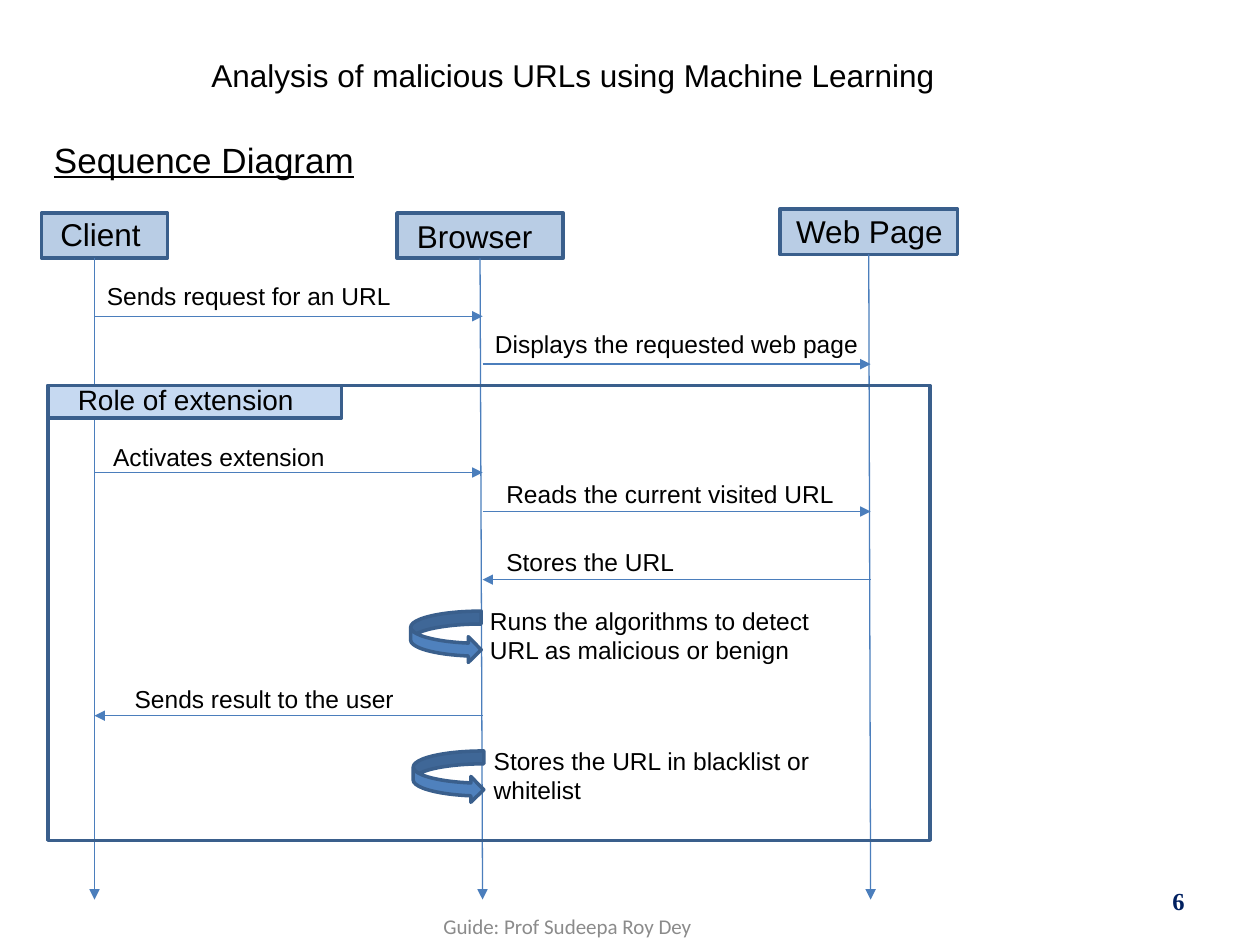
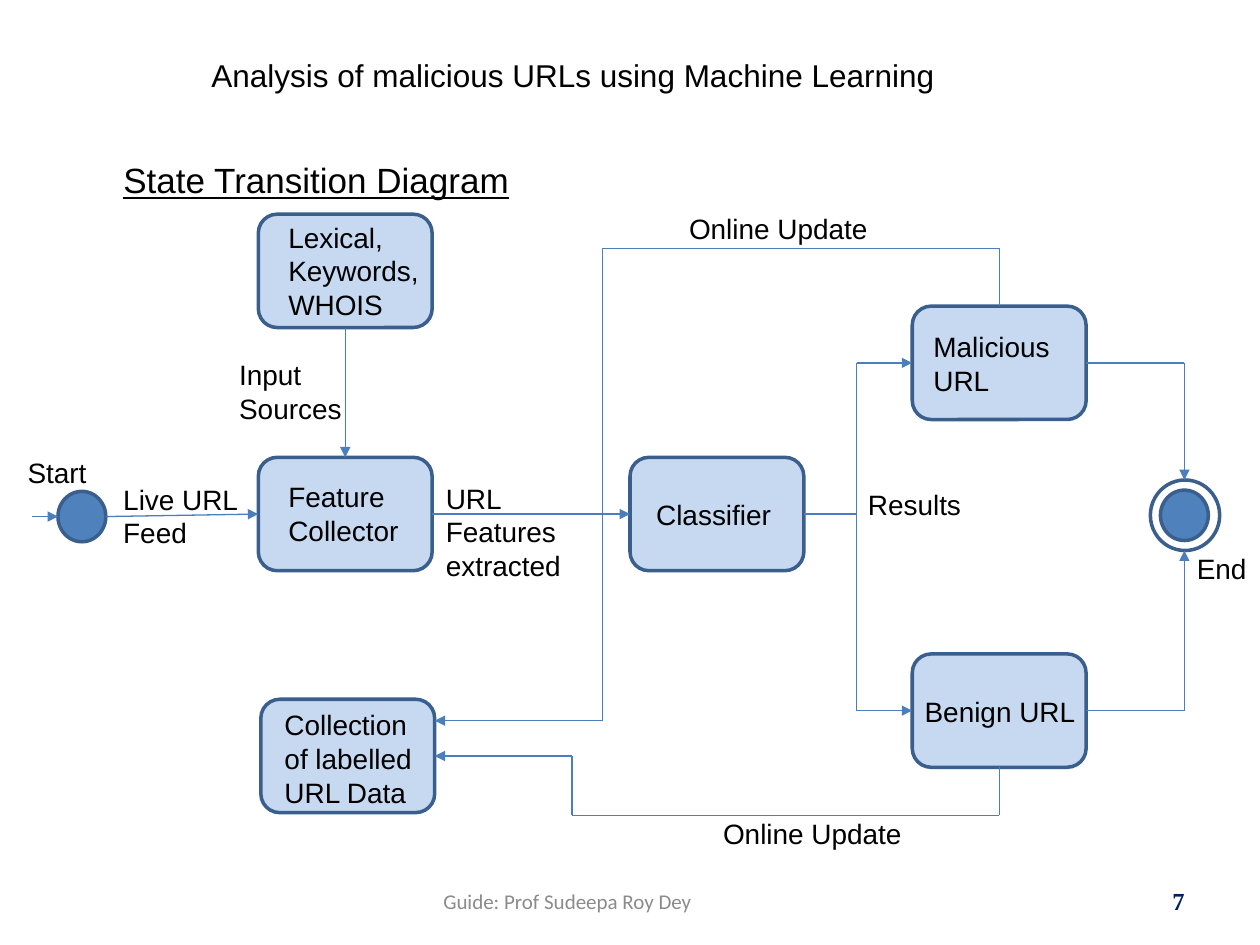
from itertools import pairwise

from lxml import etree
from pptx import Presentation
from pptx.dml.color import RGBColor
from pptx.enum.shapes import MSO_CONNECTOR, MSO_SHAPE
from pptx.enum.text import MSO_ANCHOR, PP_ALIGN
from pptx.oxml.ns import qn
from pptx.util import Inches, Pt

# Shared colours and text formats
HEADER, PANEL, ACCENT = "B9CDE5", "C6D9F1", "4F81BD"
OUTLINE, ARROW = "3A5F8C", "4B7EBC"
BODY = dict(name="Arial", size=16, color="000000")
TITLE = BODY | dict(size=18)
HEADING = BODY | dict(size=20, underline=True)
MESSAGE = BODY | dict(size=14)
NUMBER = dict(name="Times New Roman", size=14, color="002060", bold=True)
FOOTER = dict(name="Calibri", size=12, color="8B8B8B")


def rgb(value):
    return RGBColor.from_string(value)


def add_text(s, text, x, y, w, h, fmt=BODY, align=PP_ALIGN.LEFT,
             anchor=MSO_ANCHOR.TOP, spacing=None):
    tf = s.shapes.add_textbox(*map(Inches, (x, y, w, h))).text_frame
    tf.word_wrap = True
    tf.vertical_anchor = anchor
    tf.text = text
    for p in tf.paragraphs:
        p.alignment = align
        p.line_spacing = spacing
        for r in p.runs:
            for key, value in fmt.items():
                if key == "color":
                    r.font.color.rgb = rgb(value)
                else:
                    setattr(r.font, key, Pt(value) if key == "size" else value)


def add_box(s, kind, x, y, w, h, fill=None):
    sp = s.shapes.add_shape(kind, *map(Inches, (x, y, w, h)))
    sp.shadow.inherit = False
    if fill:
        sp.fill.solid()
        sp.fill.fore_color.rgb = rgb(fill)
    else:
        sp.fill.background()
    sp.line.color.rgb = rgb(OUTLINE)
    sp.line.width = Pt(2)
    return sp


def add_line(s, start, end, arrow=True, begin_at=None, end_at=None):
    """begin_at and end_at are (shape, side) pairs to join."""
    line = s.shapes.add_connector(MSO_CONNECTOR.STRAIGHT,
                                  *map(Inches, (*start, *end)))
    if begin_at:
        line.begin_connect(*begin_at)
    if end_at:
        line.end_connect(*end_at)
    line.line.color.rgb = rgb(ARROW)
    line.line.width = Pt(0.75)
    if arrow:
        etree.SubElement(line.line._get_or_add_ln(), qn("a:tailEnd"),
                         type="triangle")
    etree.SubElement(line._element.spPr, qn("a:effectLst"))


def add_route(s, points, begin_at=None, end_at=None, arrow=True):
    """Draw a bent line, with an arrowhead on its last leg only."""
    last = len(points) - 2
    for i, (start, end) in enumerate(pairwise(points)):
        add_line(s, start, end, arrow and i == last,
                 begin_at if i == 0 else None, end_at if i == last else None)


def add_frame(prs, heading, heading_box, number, footer_top):
    """Slide with title, heading, footer and number."""
    s = prs.slides.add_slide(prs.slide_layouts[6])
    add_text(s, number, 7.17, 6.95, 2.33, 0.4, NUMBER,
             align=PP_ALIGN.RIGHT, anchor=MSO_ANCHOR.MIDDLE)
    add_text(s, heading, *heading_box, HEADING, spacing=0.93)
    add_text(s, "Guide: Prof Sudeepa Roy Dey", 3.42, footer_top, 3.16, 0.4,
             FOOTER, anchor=MSO_ANCHOR.MIDDLE)
    add_text(s, "Analysis of malicious URLs using Machine Learning",
             1.58, 0.42, 6.25, 0.4, TITLE, spacing=0.93)
    return s


# Sequence diagram
CLIENT, BROWSER, PAGE = 0.75, 3.83, 6.91


def add_participants(s, x, y):
    # name, lifeline, header left, top, width, label left, top, joined
    participants = [
        ("Client", CLIENT, 0.33, 0.09, 1, 0.38, 0.06, False),
        ("Browser", BROWSER, 3.15, 0.09, 1.32, 3.21, 0.07, True),
        ("Web Page", PAGE, 6.19, 0.06, 1.41, 6.22, 0.03, True),
    ]
    for name, life, left, top, w, text_x, text_y, joined in participants:
        head = add_box(s, MSO_SHAPE.RECTANGLE, x + left, y + top, w, 0.36,
                       HEADER)
        add_text(s, name, x + text_x, y + text_y, 1.41, 0.42, TITLE)
        add_line(s, (x + life, y + top + 0.36), (x + life, y + 5.54),
                 begin_at=(head, 2) if joined else None)


def add_fragment(s, x, y, w, h):
    add_box(s, MSO_SHAPE.RECTANGLE, x, y, w, h)
    add_box(s, MSO_SHAPE.RECTANGLE, x, y, 2.33, 0.26, PANEL)
    add_text(s, "Role of extension", x + 0.14, y - 0.07, 2.57, 0.37)


def add_messages(s, x, y):
    # text, from, to, arrow y, label left, top, width
    messages = [
        ("Sends request for an URL", CLIENT, BROWSER, 0.91, 0.75, 0.58, 2.89),
        ("Displays the requested web page", BROWSER, PAGE, 1.29, 3.83, 0.96,
         3.16),
        ("Activates extension", CLIENT, BROWSER, 2.15, 0.8, 1.86, 2.7),
        ("Reads the current visited URL", BROWSER, PAGE, 2.46, 3.92, 2.15,
         2.83),
        ("Stores the URL", PAGE, BROWSER, 3, 3.92, 2.69, 2.83),
        ("Sends result to the user", BROWSER, CLIENT, 4.08, 0.97, 3.78, 2.41),
    ]
    for text, start, end, level, left, top, w in messages:
        add_line(s, (x + start, y + level), (x + end, y + level))
        add_text(s, text, x + left, y + top, w, 0.34, MESSAGE)

    # Steps the browser performs on itself
    own_steps = [
        ("Runs the algorithms to detect URL as malicious or benign",
         3.26, 3.25, 3.79, 2.96),
        ("Stores the URL in blacklist or whitelist", 3.28, 4.36, 3.82, 2.87),
    ]
    for text, left, top, text_x, w in own_steps:
        add_box(s, MSO_SHAPE.CURVED_RIGHT_ARROW, x + left, y + top, 0.56,
                0.41, ACCENT)
        add_text(s, text, x + text_x, y + top - 0.09, w, 0.57, MESSAGE)


def sequence_slide(prs):
    s = add_frame(prs, "Sequence Diagram", (0.33, 1.08, 9.01, 5.78), "6", 7.15)
    add_participants(s, 0, 1.6)
    add_fragment(s, 0.38, 3.06, 7, 3.61)
    add_messages(s, 0, 1.6)


# State transition diagram
def add_states(s, x, y):
    # key: left, top, label, label offset x, y, label width
    states = {
        "sources": (2.05, 0.7, "Lexical, Keywords, WHOIS", 0.14, 0, 1.36),
        "collector": (2.05, 2.63, "Feature Collector", 0.14, 0.13, 1.38),
        "classifier": (5, 2.63, "Classifier", 0.11, 0.27, 1.36),
        "malicious": (7.24, 1.43, "Malicious URL", 0.07, 0.14, 1.43),
        "benign": (7.24, 4.19, "Benign URL", 0, 0.27, 1.65),
        "data": (2.07, 4.55, "Collection of labelled URL Data", 0.09, 0.02,
                 1.36),
    }
    boxes = {}
    for key, (left, top, text, dx, dy, w) in states.items():
        boxes[key] = add_box(s, MSO_SHAPE.ROUNDED_RECTANGLE, x + left,
                             y + top, 1.38, 0.9, PANEL)
        add_text(s, text, x + left + dx, y + top + dy, w, 0.9)

    # Start and end markers
    for left, top, w, h, fill in [(0.46, 2.9, 0.38, 0.4, ACCENT),
                                  (9.21, 2.89, 0.38, 0.4, ACCENT),
                                  (9.13, 2.81, 0.55, 0.56, None)]:
        add_box(s, MSO_SHAPE.OVAL, x + left, y + top, w, h, fill)
    return boxes


def add_transitions(s, x, y, boxes):
    top, left, bottom, right = range(4)
    # points, (state, side) at the start, (state, side) at the end, arrow
    routes = [
        ([(0.25, 3.1), (0.46, 3.1)], None, None, True),
        ([(0.84, 3.1), (2.05, 3.08)], None, ("collector", left), True),
        ([(2.74, 1.6), (2.74, 2.63)], ("sources", bottom),
         ("collector", top), True),
        ([(3.43, 3.08), (5, 3.08)], ("collector", right),
         ("classifier", left), True),
        ([(6.38, 3.08), (6.8, 3.08)], ("classifier", right), None, False),
        ([(6.8, 3.08), (6.8, 1.88), (7.24, 1.88)], None,
         ("malicious", left), True),
        ([(6.8, 3.08), (6.8, 4.64), (7.24, 4.64)], None,
         ("benign", left), True),
        ([(8.62, 1.88), (9.4, 1.88), (9.4, 2.81)], ("malicious", right),
         None, True),
        ([(8.62, 4.64), (9.4, 4.64), (9.4, 3.37)], ("benign", right),
         None, True),
        ([(7.93, 1.43), (7.93, 0.97), (4.78, 0.97), (4.78, 4.72),
          (3.45, 4.72)], ("malicious", top), None, True),
        ([(7.93, 5.09), (7.93, 5.47), (4.54, 5.47), (4.54, 5), (3.45, 5)],
         ("benign", bottom), None, True),
    ]
    for points, begin, end, arrow in routes:
        joins = [(boxes[j[0]], j[1]) if j else None for j in (begin, end)]
        add_route(s, [(x + px, y + py) for px, py in points], *joins, arrow)

    labels = [
        ("Input Sources", 1.8, 1.79, 1.16),
        ("Live URL Feed", 0.88, 2.78, 1.44),
        ("URL\nFeatures extracted", 3.44, 2.77, 1.6),
        ("Results", 6.79, 2.82, 1.26),
        ("Online Update", 5.64, 5.43, 1.88),
        ("Online Update", 5.37, 0.63, 1.88),
        ("End", 9.4, 3.33, 0.61),
        ("Start", 0.12, 2.57, 0.78),
    ]
    for text, label_x, label_y, w in labels:
        add_text(s, text, x + label_x, y + label_y, w, 0.37)


def state_slide(prs):
    s = add_frame(prs, "State Transition Diagram", (0.88, 1.24, 8.42, 5.7),
                  "7", 6.95)
    boxes = add_states(s, 0, 1)
    add_transitions(s, 0, 1, boxes)


def main():
    prs = Presentation()
    prs.slide_width, prs.slide_height = Inches(10), Inches(7.5)
    sequence_slide(prs)
    state_slide(prs)
    prs.save("out.pptx")


if __name__ == "__main__":
    main()
